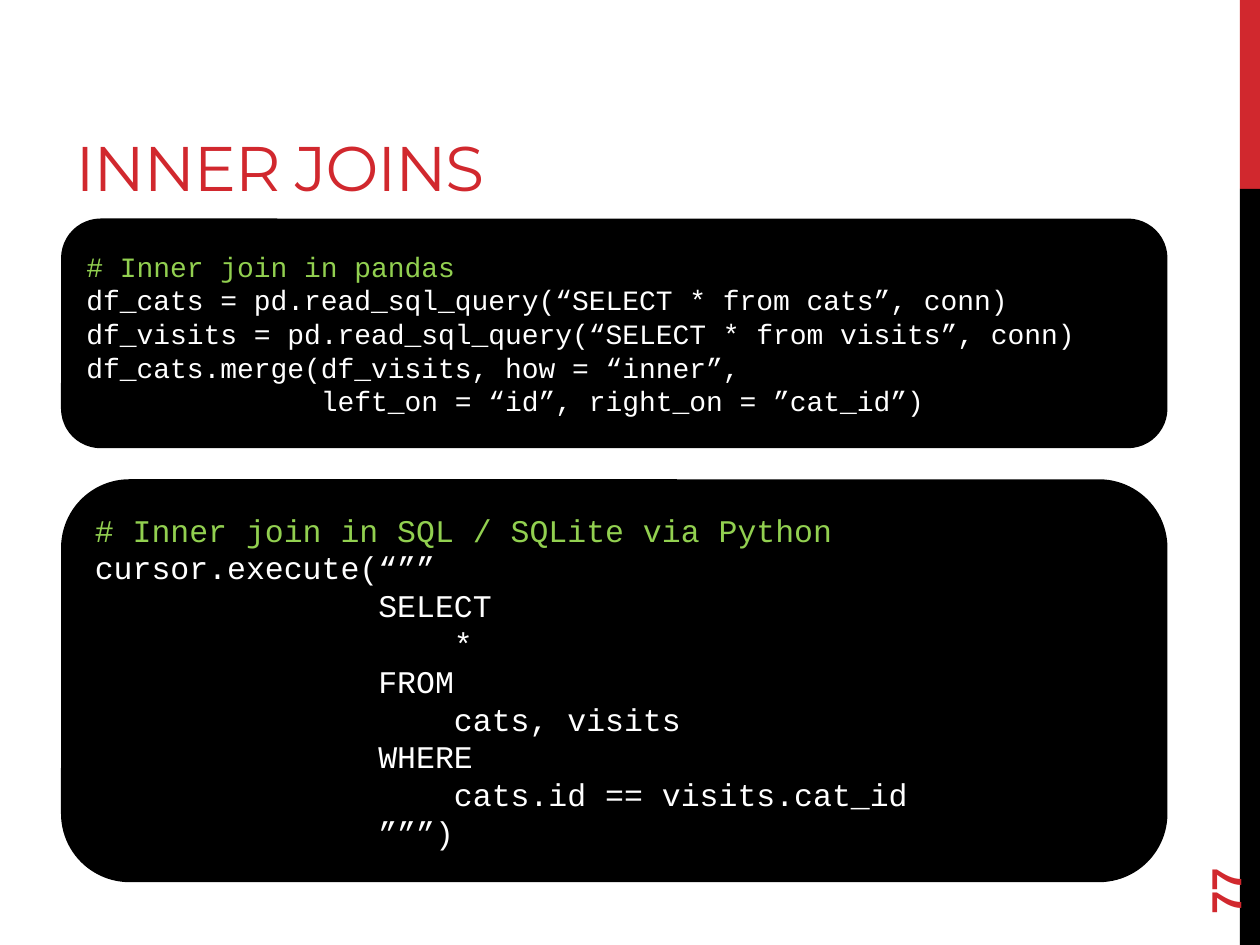
"""Build the slide on inner joins in pandas and SQL."""
import pptx
import pptx.dml.color
import pptx.enum.shapes
import pptx.enum.text
import pptx.util

Pt = pptx.util.Pt
SHAPES = pptx.enum.shapes.MSO_SHAPE
ANCHOR = pptx.enum.text.MSO_ANCHOR
ALIGN = pptx.enum.text.PP_ALIGN

COLORS = {"red": "D1282E", "black": "000000", "white": "FFFFFF", "comment": "92D050"}

PANDAS_CODE = """# Inner join in pandas
df_cats = pd.read_sql_query(“SELECT * from cats”, conn)
df_visits = pd.read_sql_query(“SELECT * from visits”, conn)
df_cats.merge(df_visits, how = “inner”,
              left_on = “id”, right_on = ”cat_id”)"""

SQL_CODE = """# Inner join in SQL / SQLite via Python
cursor.execute(“””
               SELECT
                   *
               FROM
                   cats, visits
               WHERE
                   cats.id == visits.cat_id
               ”””)"""


class SlideBuilder:
    """Hold the style and the current slide."""

    title_font = {"name": "Montserrat", "size": Pt(36), "bold": False}
    number_font = {"name": "Arial", "size": Pt(24), "bold": True}
    code_font = {"name": "Courier New", "bold": False}

    def __init__(self, slide):
        self.slide = slide

    def color(self, name):
        return pptx.dml.color.RGBColor.from_string(COLORS[name])

    def add_line(self, paragraph, text, font_values, color):
        paragraph.alignment = ALIGN.LEFT
        run = paragraph.add_run()
        run.text = text
        for attribute, value in font_values.items():
            setattr(run.font, attribute, value)
        run.font.color.rgb = self.color(color)
        return run

    def frame(self, shape, anchor):
        values = {
            "word_wrap": True,
            "auto_size": pptx.enum.text.MSO_AUTO_SIZE.NONE,
            "vertical_anchor": anchor,
        }
        for attribute, value in values.items():
            setattr(shape.text_frame, attribute, value)
        return shape.text_frame

    def box(self, kind, left, top, width, height, fill):
        shape = self.slide.shapes.add_shape(kind, Pt(left), Pt(top), Pt(width), Pt(height))
        shape.shadow.inherit = False
        shape.fill.solid()
        shape.fill.fore_color.rgb = self.color(fill)
        shape.line.fill.background()
        return shape

    def bar(self, top, height, fill):
        self.box(SHAPES.RECTANGLE, 708.5, top, 11.5, height, fill)

    def title(self, text, left, top, width, height):
        heading = self.slide.shapes.title
        places = {"left": left, "top": top, "width": width, "height": height}
        for attribute, value in places.items():
            setattr(heading, attribute, Pt(value))
        text_frame = self.frame(heading, ANCHOR.BOTTOM)
        run = self.add_line(text_frame.paragraphs[0], text, self.title_font, "red")
        run.font._element.set("spc", "-60")

    def page_number(self, text, left, top, width, height):
        number = self.slide.shapes.add_textbox(Pt(left), Pt(top), Pt(width), Pt(height))
        number.rotation = 270
        text_frame = self.frame(number, ANCHOR.MIDDLE)
        self.add_line(text_frame.paragraphs[0], text, self.number_font, "red")

    def code_panel(self, code, top, height, size):
        panel = self.box(SHAPES.ROUNDED_RECTANGLE, 36, top, 630, height, "black")
        panel.line.color.rgb = self.color("black")
        panel.line.width = Pt(2.25)
        text_frame = self.frame(panel, ANCHOR.MIDDLE)
        font_values = {**self.code_font, "size": Pt(size)}
        for index, line in enumerate(code.split("\n")):
            paragraph = text_frame.add_paragraph() if index else text_frame.paragraphs[0]
            color = "comment" if line.startswith("#") else "white"
            self.add_line(paragraph, line, font_values, color)


def main():
    presentation = pptx.Presentation()
    presentation.slide_width, presentation.slide_height = Pt(720), Pt(540)
    builder = SlideBuilder(presentation.slides.add_slide(presentation.slide_layouts[5]))
    builder.bar(0, 108, "red")
    builder.bar(108, 432, "black")
    builder.title("INNER JOINS", 36, 12, 456, 108)
    builder.page_number("77", 648, 463.5, 103.5, 29)
    builder.code_panel(PANDAS_CODE, 126, 129, 16)
    builder.code_panel(SQL_CODE, 275, 228, 18)
    presentation.save("out.pptx")


if __name__ == "__main__":
    main()
